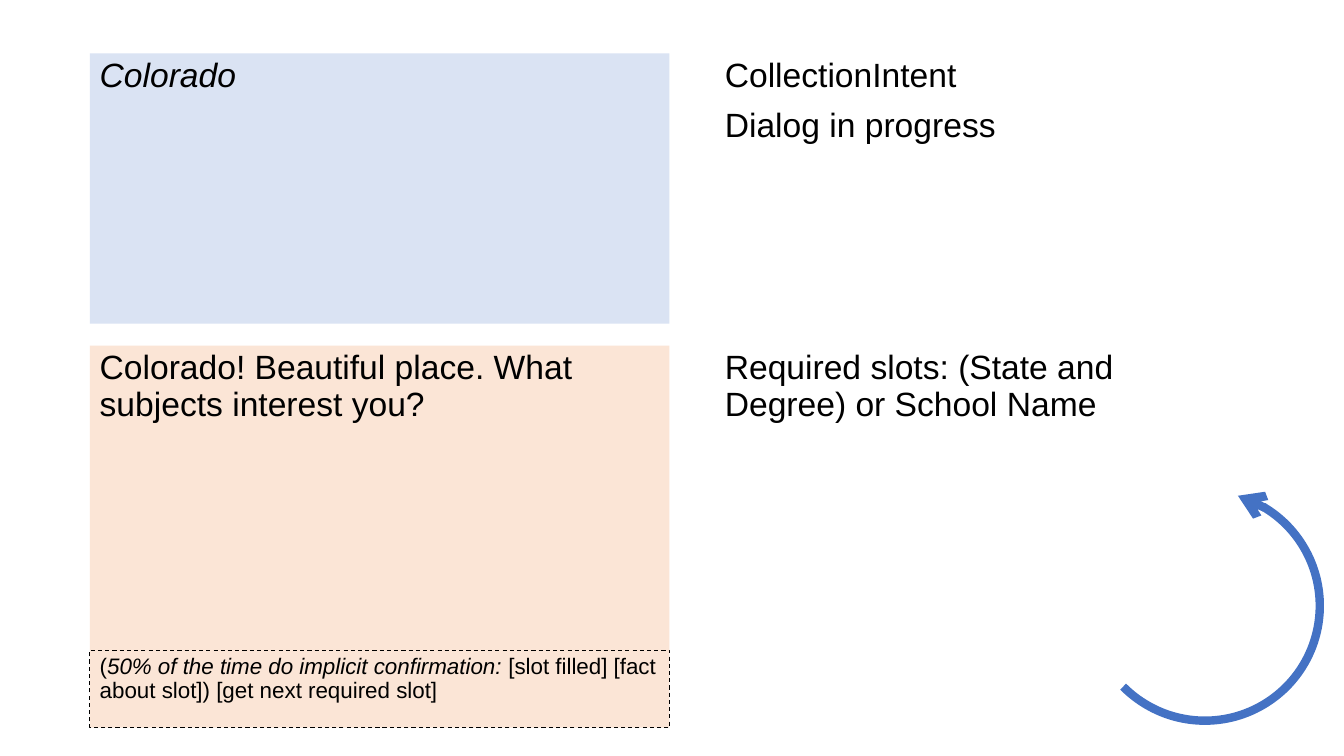
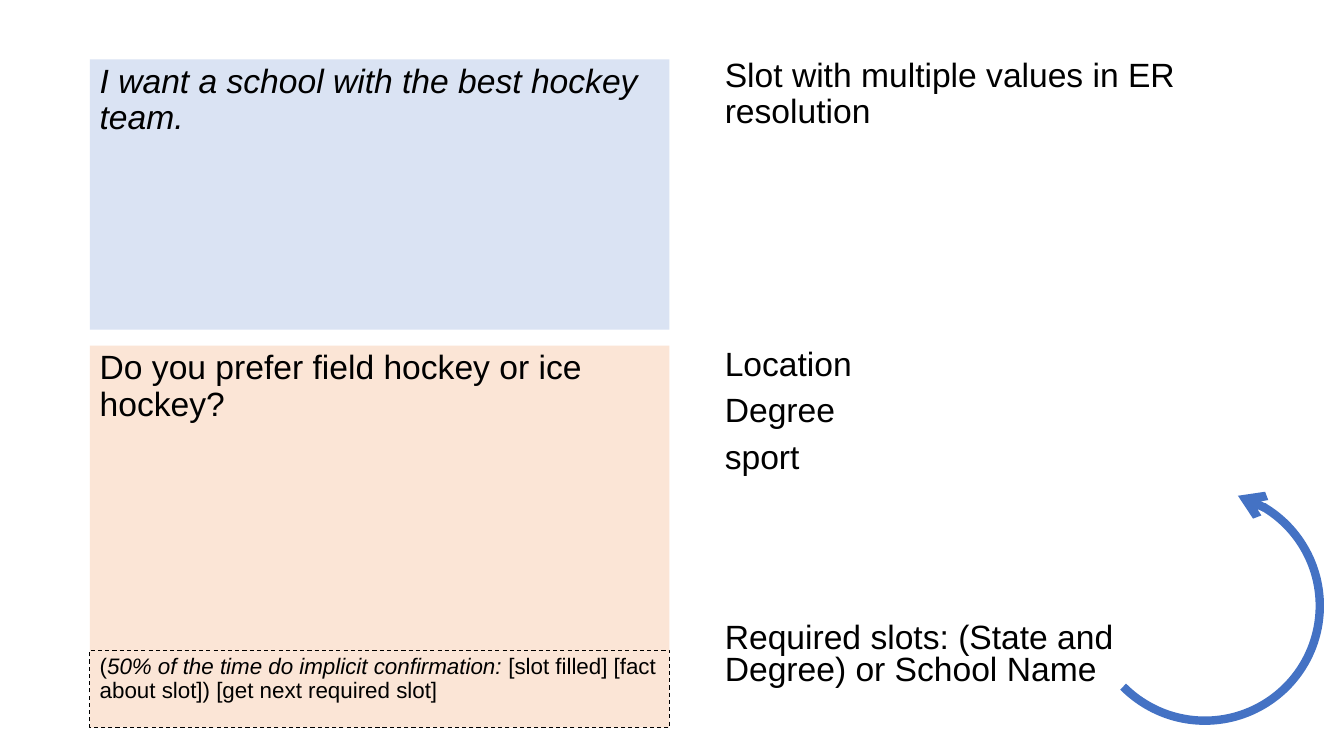
from lxml.etree import SubElement
from pptx import Presentation
from pptx.dml.color import RGBColor
from pptx.enum.dml import MSO_LINE
from pptx.enum.shapes import MSO_SHAPE
from pptx.enum.text import MSO_ANCHOR
from pptx.oxml.ns import qn
from pptx.util import Inches, Pt

BLACK = RGBColor(0x00, 0x00, 0x00)
USER_BLUE = RGBColor(0xDA, 0xE3, 0xF3)
REPLY_PEACH = RGBColor(0xFB, 0xE5, 0xD6)
ARROW_BLUE = RGBColor(0x44, 0x72, 0xC4)
FONT = "Arial"

LEFT_COLUMN = (0.89, 5.75)
RIGHT_COLUMN = (7.09, 5.31)
TOP_ROW = (0.53, 2.68)
REPLY_ROW = (3.43, 3.02)
NOTE_ROW = (6.45, 0.77)
LOWER_ROW = (REPLY_ROW[0], REPLY_ROW[1] + NOTE_ROW[1])

REQUIRED_SLOTS = "Required slots: (State and Degree) or School Name"
NOTE_RUNS = [
    ("(", False),
    ("50% of the time do implicit confirmation: ", True),
    ("[slot filled] [fact about slot]) [get next required slot]", False),
]


def add_panel(slide, column, row, paragraphs, fill=None, size=24, spacing=0.9):
    """Add a text panel; each paragraph is a list of (text, italic) runs."""
    left, width = column
    top, height = row
    panel = slide.shapes.add_textbox(
        Inches(left), Inches(top), Inches(width), Inches(height))
    if fill is not None:
        panel.fill.solid()
        panel.fill.fore_color.rgb = fill
    text_frame = panel.text_frame
    text_frame.word_wrap = True
    text_frame.vertical_anchor = MSO_ANCHOR.TOP
    for index, runs in enumerate(paragraphs):
        paragraph = text_frame.add_paragraph() if index else text_frame.paragraphs[0]
        paragraph.line_spacing = spacing
        paragraph.space_before = Pt(10)
        for text, italic in runs:
            run = paragraph.add_run()
            run.text = text
            run.font.name = FONT
            run.font.size = Pt(size)
            run.font.italic = italic
            run.font.color.rgb = BLACK
    return panel


def plain(*lines):
    """Turn lines into paragraphs of one upright run each."""
    return [[(line, False)] for line in lines]


def add_return_arrow(layout, slide):
    """Draw the curved arrow and place it on the layout shared by all slides."""
    arrow = slide.shapes.add_shape(
        MSO_SHAPE.ARC, Inches(10.81), Inches(4.87), Inches(2.28), Inches(2.28))
    arrow.adjustments[0] = 172.04
    arrow.adjustments[1] = 81.18
    arrow.shadow.inherit = False
    arrow.fill.background()
    arrow.line.color.rgb = ARROW_BLUE
    arrow.line.width = Pt(6)
    SubElement(arrow.line._get_or_add_ln(), qn("a:headEnd"), type="arrow")
    arrow.element.nvSpPr.cNvPr.set("id", "20")
    layout.shapes.element.append(arrow.element)


def add_dialog_slide(presentation, layout, user_text, reply, intent, slots,
                     user_row=TOP_ROW, slot_spacing=0.9):
    """Add one dialog turn: user and reply at left, intent and slots at right."""
    slide = presentation.slides.add_slide(layout)
    add_panel(slide, LEFT_COLUMN, user_row, [[(user_text, True)]], USER_BLUE)
    add_panel(slide, LEFT_COLUMN, REPLY_ROW, plain(reply), REPLY_PEACH)
    add_panel(slide, RIGHT_COLUMN, TOP_ROW, plain(*intent))
    note = add_panel(slide, LEFT_COLUMN, NOTE_ROW, [NOTE_RUNS], REPLY_PEACH, size=16)
    note.line.color.rgb = BLACK
    note.line.width = Pt(0.75)
    note.line.dash_style = MSO_LINE.DASH
    slot_panel = add_panel(slide, RIGHT_COLUMN, LOWER_ROW, plain(*slots),
                           spacing=slot_spacing)
    return slide, slot_panel


def main():
    """Build and save the two dialog slides."""
    presentation = Presentation()
    presentation.slide_width = Inches(13.33)
    presentation.slide_height = Inches(7.5)
    layout = presentation.slide_layouts.get_by_name("Blank")

    state_slide, _ = add_dialog_slide(
        presentation, layout, "Colorado",
        "Colorado! Beautiful place. What subjects interest you?",
        ["CollectionIntent", "Dialog in progress"], [REQUIRED_SLOTS])
    add_return_arrow(layout, state_slide)

    _, sport_slots = add_dialog_slide(
        presentation, layout, "I want a school with the best hockey team.",
        "Do you prefer field hockey or ice hockey?",
        ["Slot with multiple values in ER resolution"],
        ["Location", "Degree", "sport", REQUIRED_SLOTS],
        user_row=(0.59, TOP_ROW[1]), slot_spacing=0.8)
    sport_slots.text_frame.paragraphs[-1].space_before = Pt(106)

    presentation.save("out.pptx")


main()
